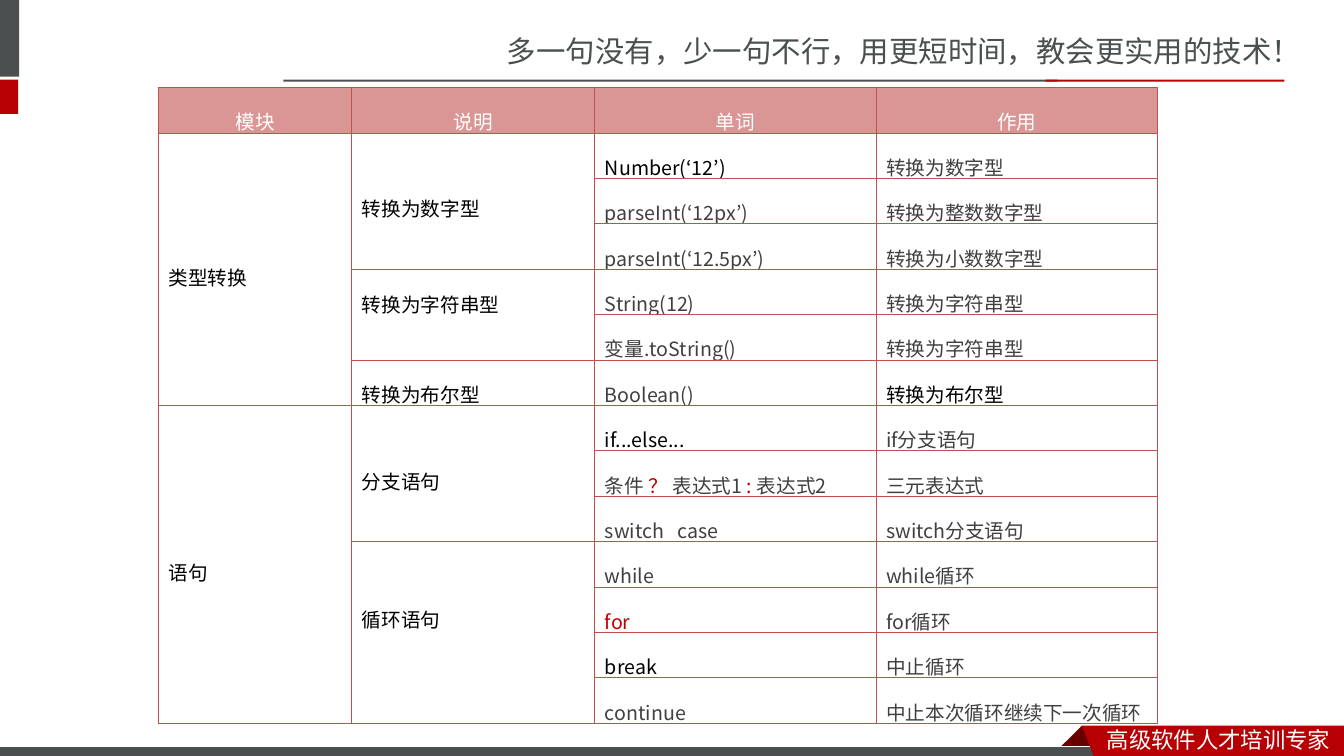
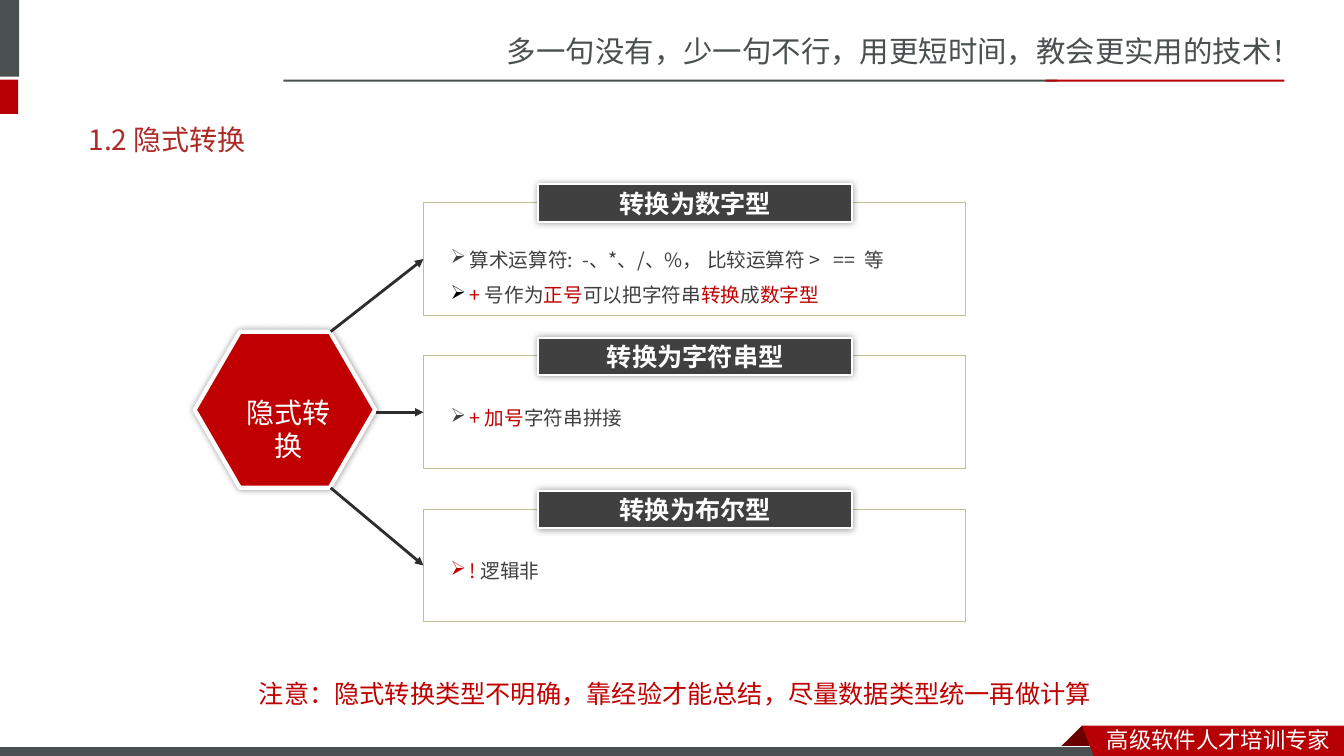
from typing import NamedTuple

from lxml import etree
from pptx import Presentation
from pptx.dml.color import RGBColor
from pptx.enum.shapes import MSO_CONNECTOR, MSO_SHAPE
from pptx.enum.text import MSO_ANCHOR, PP_ALIGN
from pptx.oxml.ns import qn
from pptx.util import Inches, Pt

RECT, HEXAGON = MSO_SHAPE.RECTANGLE, MSO_SHAPE.HEXAGON
STRAIGHT = MSO_CONNECTOR.STRAIGHT
TOP, MIDDLE = MSO_ANCHOR.TOP, MSO_ANCHOR.MIDDLE
LEFT, CENTER = PP_ALIGN.LEFT, PP_ALIGN.CENTER

WHITE = RGBColor(0xFF, 0xFF, 0xFF)
BLACK = RGBColor(0x00, 0x00, 0x00)
SLATE = RGBColor(0x49, 0x50, 0x4F)
BRAND_RED = RGBColor(0xB6, 0x00, 0x04)
FOLD_RED = RGBColor(0x68, 0x00, 0x00)
TITLE_RED = RGBColor(0xAD, 0x2A, 0x26)
RED = RGBColor(0xC0, 0x00, 0x00)
CHARCOAL = RGBColor(0x40, 0x40, 0x40)
ARROW = RGBColor(0x2E, 0x2C, 0x2C)
SAND = RGBColor(0xC4, 0xBD, 0x97)
ROSE = RGBColor(0xD9, 0x96, 0x94)
GRID_RED = RGBColor(0xC0, 0x50, 0x4D)

BAND_FONT = "Noto Sans CJK SC"
BODY_FONT = "Noto Sans CJK JP"


class Run(NamedTuple):
    text: str
    color: RGBColor


class Style(NamedTuple):
    size: float
    font: str = BODY_FONT
    bold: bool = False
    align: PP_ALIGN = LEFT
    spacing: float = 1.0


class Cell(NamedTuple):
    row: int
    col: int
    runs: list[Run]
    rows: int = 1
    bottom: float = 0.05


class Bullet(NamedTuple):
    color: RGBColor
    runs: list[Run]


class Panel(NamedTuple):
    heading: str
    text_drop: float
    spacing: float
    bullets: list[Bullet]
    arrow_from: tuple[float, float]


def black(text: str) -> list[Run]:
    return [Run(text, BLACK)]


def grey(text: str) -> list[Run]:
    return [Run(text, CHARCOAL)]


# Slide 1: header, merged groups and the two columns of detail
COLUMNS = [1.92, 2.41, 2.79, 2.79]
ROW_HEIGHT = 0.45
HEADERS = ["模块", "说明", "单词", "作用"]
GROUPS = [
    Cell(1, 0, black("类型转换"), 6),
    Cell(7, 0, black("语句"), 7),
    Cell(1, 1, black("转换为数字型"), 3),
    Cell(4, 1, black("转换为字符串型"), 2, 0.4),
    Cell(6, 1, black("转换为布尔型")),
    Cell(7, 1, black("分支语句"), 3),
    Cell(10, 1, black("循环语句"), 4, 0.46),
]
DETAILS = [
    (black("Number(‘12’)"), grey("转换为数字型")),
    (grey("parseInt(‘12px’)"), grey("转换为整数数字型")),
    (grey("parseInt(‘12.5px’)"), grey("转换为小数数字型")),
    (grey("String(12)"), grey("转换为字符串型")),
    (grey("变量.toString()"), grey("转换为字符串型")),
    (grey("Boolean()"), black("转换为布尔型")),
    (black("if...else..."), grey("if分支语句")),
    ([Run("条件 ", CHARCOAL), Run("？ ", RED), Run("表达式1", CHARCOAL),
      Run(" : ", RED), Run("表达式2", CHARCOAL)], grey("三元表达式")),
    (grey("switch   case"), grey("switch分支语句")),
    (grey("while"), grey("while循环")),
    ([Run("for", RED)], grey("for循环")),
    (black("break"), grey("中止循环")),
    (grey("continue"), grey("中止本次循环继续下一次循环")),
]

# Slide 2: panels to the right of the hexagon
PANEL_TOP, PANEL_PITCH = 2.01, 1.52
PANELS = [
    Panel("转换为数字型", 0.28, 1.5, [
        Bullet(CHARCOAL, grey("算术运算符:  -、*、/、%， 比较运算符 >   ==  等")),
        Bullet(BLACK, [Run("+ ", RED), Run("号作为", CHARCOAL), Run("正号", RED),
                       Run("可以把字符串", CHARCOAL), Run("转换", RED),
                       Run("成", CHARCOAL), Run("数字型", RED)]),
    ], (3.28, 3.29)),
    Panel("转换为字符串型", 0.45, 1.0, [
        Bullet(CHARCOAL, [Run("+ 加号", RED), Run("字符串拼接", CHARCOAL)]),
    ], (3.73, 4.09)),
    Panel("转换为布尔型", 0.45, 1.0, [
        Bullet(RED, [Run("! ", RED), Run("逻辑非", CHARCOAL)]),
    ], (3.28, 4.84)),
]


def write(paragraph, runs: list[Run], style: Style) -> None:
    """Fill a paragraph; runs carry a colour only where colours differ."""
    font = paragraph.font
    font.size, font.bold, font.name = Pt(style.size), style.bold, style.font
    font.color.rgb = runs[0].color
    defaults = paragraph._p.get_or_add_pPr().find(qn("a:defRPr"))
    etree.SubElement(defaults, qn("a:ea"), typeface=style.font)
    paragraph.alignment = style.align
    paragraph.line_spacing = style.spacing
    for part in runs:
        run = paragraph.add_run()
        run.text = part.text
        if part.color != runs[0].color:
            run.font.color.rgb = part.color


def add_text(slide, left: float, top: float, width: float, height: float,
             text: str, color: RGBColor, style: Style, anchor=TOP) -> None:
    box = slide.shapes.add_textbox(Inches(left), Inches(top), Inches(width), Inches(height))
    frame = box.text_frame
    frame.word_wrap = True
    frame.vertical_anchor = anchor
    write(frame.paragraphs[0], [Run(text, color)], style)


def paint(shape, fill: RGBColor, line: RGBColor | None = None, width: float = 0) -> None:
    shape.shadow.inherit = False
    shape.fill.solid()
    shape.fill.fore_color.rgb = fill
    if line is None:
        shape.line.fill.background()
    else:
        shape.line.color.rgb = line
        shape.line.width = Pt(width)


def add_block(slide, left: float, top: float, width: float, height: float, fill: RGBColor,
              line: RGBColor | None = None, line_width: float = 0, kind=RECT):
    block = slide.shapes.add_shape(
        kind, Inches(left), Inches(top), Inches(width), Inches(height))
    paint(block, fill, line, line_width)
    return block


def add_polygon(slide, points: list[tuple[float, float]], fill: RGBColor) -> None:
    corners = [(Inches(x), Inches(y)) for x, y in points]
    builder = slide.shapes.build_freeform(*corners[0], scale=1.0)
    builder.add_line_segments(corners[1:], close=True)
    paint(builder.convert_to_shape(), fill)


def add_glow(shape) -> None:
    effects = shape._element.spPr.find(qn("a:effectLst"))
    shadow = etree.SubElement(effects, qn("a:outerShdw"), blurRad=str(Pt(5)), dist="0",
                              dir="0", algn="ctr", rotWithShape="0")
    color = etree.SubElement(shadow, qn("a:srgbClr"), val=str(BLACK))
    etree.SubElement(color, qn("a:alpha"), val="40000")


def add_arrow(slide, start: tuple[float, float], target) -> None:
    x, y = Inches(start[0]), Inches(start[1])
    arrow = slide.shapes.add_connector(STRAIGHT, x, y, x, y)
    arrow.end_connect(target, 1)
    arrow.line.color.rgb = ARROW
    arrow.line.width = Pt(0)
    etree.SubElement(arrow.line._get_or_add_ln(), qn("a:tailEnd"), type="triangle")
    etree.SubElement(arrow._element.spPr, qn("a:effectLst"))


def add_framed_slide(deck):
    """Blank slide with the shared slogan, bands and footer ribbon."""
    slide = deck.slides.add_slide(deck.slide_layouts[6])
    add_text(slide, 4.93, 0.28, 8.41, 0.47,
             "多一句没有，少一句不行，用更短时间，教会更实用的技术！", SLATE, Style(21, BAND_FONT))
    add_block(slide, -0.06, 0, 0.25, 0.76, SLATE)
    add_block(slide, -0.06, 0.79, 0.24, 0.34, BRAND_RED)
    add_block(slide, 2.81, 0.79, 7.68, 0.02, SLATE)
    add_block(slide, 10.37, 0.79, 2.37, 0.02, BRAND_RED)
    add_polygon(slide, [(10.73, 7.2), (10.95, 7.42), (10.94, 7.43), (10.52, 7.43),
                        (10.51, 7.42)], FOLD_RED)
    add_block(slide, -0.01, 7.41, 11, 0.12, SLATE, WHITE, 0.75)
    add_polygon(slide, [(10.73, 7.2), (13.33, 7.2), (13.33, 7.54), (10.86, 7.53)], BRAND_RED)
    add_text(slide, 10.88, 7.15, 2.45, 0.37, "高级软件人才培训专家", WHITE, Style(16, BAND_FONT))
    return slide


def set_cell_look(cell, fill: RGBColor) -> None:
    cell.fill.solid()
    cell.fill.fore_color.rgb = fill
    properties = cell._tc.get_or_add_tcPr()
    for position, side in enumerate(("lnL", "lnR", "lnT", "lnB")):
        border = etree.Element(qn(f"a:{side}"), w=str(Pt(1)))
        solid = etree.SubElement(border, qn("a:solidFill"))
        etree.SubElement(solid, qn("a:srgbClr"), val=str(GRID_RED))
        properties.insert(position, border)


def build_summary(deck) -> None:
    slide = add_framed_slide(deck)
    row_count = len(DETAILS) + 1
    table = slide.shapes.add_table(
        row_count, len(COLUMNS), Inches(1.57), Inches(0.87),
        Inches(sum(COLUMNS)), Inches(ROW_HEIGHT * row_count)).table
    table.first_row = table.horz_banding = False
    for column, width in zip(table.columns, COLUMNS):
        column.width = Inches(width)
    for index, row in enumerate(table.rows):
        row.height = Inches(ROW_HEIGHT)
        for cell in row.cells:
            set_cell_look(cell, WHITE if index else ROSE)

    # Header row
    for col, heading in enumerate(HEADERS):
        write(table.cell(0, col).text_frame.paragraphs[0], [Run(heading, WHITE)],
              Style(14, align=CENTER, spacing=1.5))

    # Body
    details = [Cell(row, col, runs) for row, pair in enumerate(DETAILS, 1)
               for col, runs in enumerate(pair, 2)]
    for entry in GROUPS + details:
        cell = table.cell(entry.row, entry.col)
        if entry.rows > 1:
            cell.merge(table.cell(entry.row + entry.rows - 1, entry.col))
        cell.vertical_anchor = MIDDLE
        cell.margin_bottom = Inches(entry.bottom)
        write(cell.text_frame.paragraphs[0], entry.runs, Style(14, spacing=1.5))


def add_panel(slide, panel: Panel, top: float) -> None:
    frame = add_block(slide, 4.2, top, 5.38, 1.12, WHITE, SAND)
    add_arrow(slide, panel.arrow_from, frame)
    label = add_block(slide, 5.34, top - 0.18, 3.11, 0.37, CHARCOAL, WHITE, 1.5)
    add_glow(label)
    label.text_frame.vertical_anchor = MIDDLE
    write(label.text_frame.paragraphs[0], [Run(panel.heading, WHITE)],
          Style(18, bold=True, align=CENTER))

    # Bulleted text
    body = slide.shapes.add_textbox(
        Inches(4.37), Inches(top + panel.text_drop), Inches(5), Inches(0.34)).text_frame
    body.word_wrap = True
    for index, bullet in enumerate(panel.bullets):
        paragraph = body.add_paragraph() if index else body.paragraphs[0]
        write(paragraph, bullet.runs, Style(14, spacing=panel.spacing))
        properties = paragraph._p.get_or_add_pPr()
        properties.set("marL", str(Inches(0.19)))
        properties.set("indent", str(-Inches(0.19)))
        defaults = properties.find(qn("a:defRPr"))
        tint = etree.Element(qn("a:buClr"))
        etree.SubElement(tint, qn("a:srgbClr"), val=str(bullet.color))
        defaults.addprevious(tint)
        defaults.addprevious(etree.Element(qn("a:buChar"), char="➢"))


def build_implicit(deck) -> None:
    slide = add_framed_slide(deck)
    add_text(slide, 0.78, 1.1, 11.72, 0.57, "1.2 隐式转换", TITLE_RED, Style(20), MIDDLE)
    hexagon = add_block(slide, 1.93, 3.29, 1.79, 1.55, RED, WHITE, 3, HEXAGON)
    hexagon.adjustments[0] = 0.29
    add_glow(hexagon)
    for index, panel in enumerate(PANELS):
        add_panel(slide, panel, PANEL_TOP + index * PANEL_PITCH)
    add_text(slide, 2.21, 3.87, 1.3, 0.44, "隐式转换", WHITE, Style(20, align=CENTER))
    add_text(slide, 2.47, 6.68, 9.26, 0.4,
             "注意：隐式转换类型不明确，靠经验才能总结，尽量数据类型统一再做计算", RED, Style(18))


def main() -> None:
    deck = Presentation()
    deck.slide_width, deck.slide_height = Inches(13.33), Inches(7.5)
    build_summary(deck)
    build_implicit(deck)
    deck.save("out.pptx")


if __name__ == "__main__":
    main()
